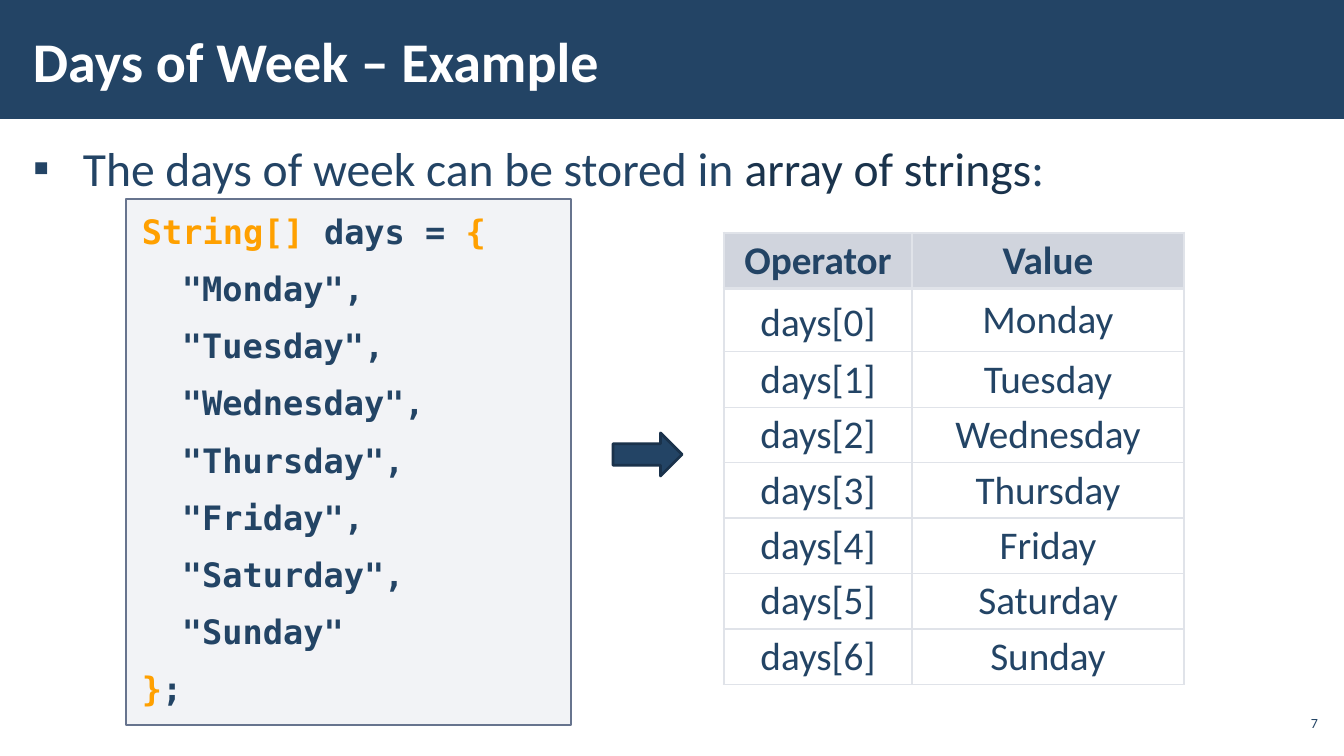
from lxml import etree
from pptx import Presentation
from pptx.dml.color import RGBColor
from pptx.enum.shapes import MSO_SHAPE
from pptx.enum.text import MSO_ANCHOR, MSO_AUTO_SIZE, PP_ALIGN
from pptx.oxml.ns import qn
from pptx.util import Emu, Pt

NAVY = RGBColor(0x23, 0x44, 0x65)
DARK_NAVY = RGBColor(0x1A, 0x33, 0x4C)
ARROW_EDGE = RGBColor(0x1A, 0x32, 0x4B)
WHITE = RGBColor(0xFF, 0xFF, 0xFF)
ORANGE = RGBColor(0xFF, 0xA0, 0x00)
CODE_FILL = RGBColor(0xAD, 0xB4, 0xC3)
CODE_EDGE = RGBColor(0x67, 0x74, 0x8E)
HEADER_FILL = RGBColor(0xA3, 0xAB, 0xBC)
GRID = RGBColor(0xE0, 0xE3, 0xE9)

SLIDE_W, SLIDE_H = 1344, 756
SCALE = 12192000 / SLIDE_W
DAYS = ["Monday", "Tuesday", "Wednesday", "Thursday", "Friday", "Saturday", "Sunday"]


def px(value):
    """Turn pixels into EMU."""
    return Emu(round(value * SCALE))


def set_alpha(owner, percent):
    """Make the solid fill found in owner partly transparent."""
    color = owner.find(qn("a:solidFill"))[0]
    etree.SubElement(color, qn("a:alpha")).set("val", str(percent * 1000))


class SlideBuilder:
    """Holds the text style and the current slide."""

    font = "Calibri"
    code_font = "DejaVu Sans Mono"

    def __init__(self, slide):
        """Keep the slide to draw on."""
        self.slide = slide

    def place(self, shape, box):
        """Move a shape to a pixel box."""
        shape.left, shape.top, shape.width, shape.height = map(px, box)

    def frame(self, text_frame, insets, anchor):
        """Set wrapping, insets (x, y) and anchor of a text frame."""
        text_frame.word_wrap = True
        text_frame.auto_size = MSO_AUTO_SIZE.NONE
        text_frame.vertical_anchor = anchor
        text_frame.margin_left = text_frame.margin_right = px(insets[0])
        text_frame.margin_top = text_frame.margin_bottom = px(insets[1])

    def add_runs(self, paragraph, runs, size, bold=False, font=None, align=PP_ALIGN.LEFT):
        """Fill a paragraph with (text, colour) runs."""
        paragraph.alignment = align
        for text, color in runs:
            run = paragraph.add_run()
            run.text = text
            run.font.name = font or self.font
            run.font.size = Pt(size)
            run.font.bold = bold
            run.font.color.rgb = color

    def shape(self, kind, box, fill, line=None, width=1, opacity=None):
        """Add a preset shape without shadow."""
        shape = self.slide.shapes.add_shape(kind, *map(px, box))
        shape.shadow.inherit = False
        shape.fill.solid()
        shape.fill.fore_color.rgb = fill
        if opacity:
            set_alpha(shape.element.spPr, opacity)
        if line:
            shape.line.color.rgb = line
            shape.line.width = Pt(width)
        else:
            shape.line.fill.background()
        return shape

    def title(self, text, box, band_box):
        """Set the title over a full-width band."""
        title = self.slide.shapes.title
        band = self.shape(MSO_SHAPE.RECTANGLE, band_box, NAVY)
        title.element.addprevious(band.element)
        self.place(title, box)
        self.frame(title.text_frame, (12, 4), MSO_ANCHOR.MIDDLE)
        self.add_runs(title.text_frame.paragraphs[0], [(text, WHITE)], 40, bold=True)

    def bullet(self, runs, box):
        """Set one bulleted line in the body placeholder."""
        body = self.slide.placeholders[1]
        self.place(body, box)
        self.frame(body.text_frame, (12, 4), MSO_ANCHOR.TOP)
        paragraph = body.text_frame.paragraphs[0]
        self.add_runs(paragraph, runs, 34)
        paragraph.line_spacing = 1.05
        paragraph.space_before = paragraph.space_after = Pt(6)
        props = paragraph._p.get_or_add_pPr()
        props.set("marL", str(px(50)))
        props.set("indent", str(-px(50)))
        etree.SubElement(props, qn("a:buFont")).set("typeface", "Arial")
        etree.SubElement(props, qn("a:buChar")).set("char", "▪")

    def code(self, lines, box):
        """Add a code panel; each line is (indent, runs)."""
        panel = self.shape(MSO_SHAPE.RECTANGLE, box, CODE_FILL, CODE_EDGE, 1, 15)
        frame = panel.text_frame
        self.frame(frame, (16, 12), MSO_ANCHOR.TOP)
        for number, (indent, runs) in enumerate(lines):
            paragraph = frame.add_paragraph() if number else frame.paragraphs[0]
            self.add_runs(paragraph, runs, 24, bold=True, font=self.code_font)
            paragraph.space_before = paragraph.space_after = Pt(6)
            paragraph._p.get_or_add_pPr().set("marL", str(px(indent)))

    def text(self, text, box, size, align):
        """Add a plain text box."""
        frame = self.slide.shapes.add_textbox(*map(px, box)).text_frame
        self.frame(frame, (4, 4), MSO_ANCHOR.MIDDLE)
        self.add_runs(frame.paragraphs[0], [(text, NAVY)], size, align=align)

    def borders(self, cell, widths):
        """Draw cell borders from a map of side to points."""
        props = cell._tc.get_or_add_tcPr()
        for side, width in widths.items():
            line = etree.SubElement(props, qn("a:ln" + side), w=str(Pt(width)))
            solid = etree.SubElement(line, qn("a:solidFill"))
            etree.SubElement(solid, qn("a:srgbClr"), val=str(GRID))

    def table(self, rows, left, top, widths, heights):
        """Add a table with a tinted header and a heavier frame."""
        box = (left, top, sum(widths), sum(heights))
        table = self.slide.shapes.add_table(len(rows), len(widths), *map(px, box)).table
        table.first_row = table.horz_banding = False
        for column, width in zip(table.columns, widths):
            column.width = px(width)
        for r, (row, height) in enumerate(zip(rows, heights)):
            table.rows[r].height = px(height)
            for c, text in enumerate(row):
                cell = table.cell(r, c)
                self.borders(cell, {
                    "L": 1 if c else 2.25,
                    "R": 2.25 if c == len(widths) - 1 else 1,
                    "T": 2.25 if r < 2 else 1,
                    "B": 1 if r else 2.25,
                })
                self.cell(cell, text, header=r == 0)
        return table

    def cell(self, cell, text, header):
        """Set the text and fill of one table cell."""
        cell.vertical_anchor = MSO_ANCHOR.MIDDLE
        cell.margin_left = cell.margin_right = px(16)
        cell.margin_top = cell.margin_bottom = px(5)
        paragraph = cell.text_frame.paragraphs[0]
        paragraph.line_spacing = 0.95
        self.add_runs(paragraph, [(text, NAVY)], 28, bold=header, align=PP_ALIGN.CENTER)
        if header:
            cell.fill.solid()
            cell.fill.fore_color.rgb = HEADER_FILL
            set_alpha(cell._tc.tcPr, 50)
        else:
            cell.fill.background()


def main():
    """Build the slide and save it."""
    deck = Presentation()
    deck.slide_width, deck.slide_height = px(SLIDE_W), px(SLIDE_H)
    builder = SlideBuilder(deck.slides.add_slide(deck.slide_layouts[1]))

    builder.title("Days of Week – Example", (21, 11, 1047, 98), (0, -2, SLIDE_W, 121))
    builder.bullet(
        [("The days of week can be stored in ", NAVY), ("array of strings", DARK_NAVY), (":", NAVY)],
        (21, 132, 1301, 572))
    builder.text("7", (1275, 706, 47, 34), 10, PP_ALIGN.RIGHT)

    entries = [f'"{day}",' for day in DAYS[:-1]] + [f'"{DAYS[-1]}"']
    opening = (0, [("String[]", ORANGE), (" days = ", NAVY), ("{", ORANGE)])
    closing = (0, [("}", ORANGE), (";", NAVY)])
    values = [(40, [(entry, NAVY)]) for entry in entries]
    builder.code([opening, *values, closing], (126, 199, 445, 526))

    builder.shape(MSO_SHAPE.RIGHT_ARROW, (613, 433, 69, 43), NAVY, ARROW_EDGE, 2)

    rows = [("Operator", "Value")] + [(f"days[{i}]", day) for i, day in enumerate(DAYS)]
    table = builder.table(rows, 724, 233, [188, 272], [55, 63] + [55] * 6)
    table.cell(1, 0).text_frame.paragraphs[0].line_spacing = Pt(38)

    deck.save("out.pptx")


main()
